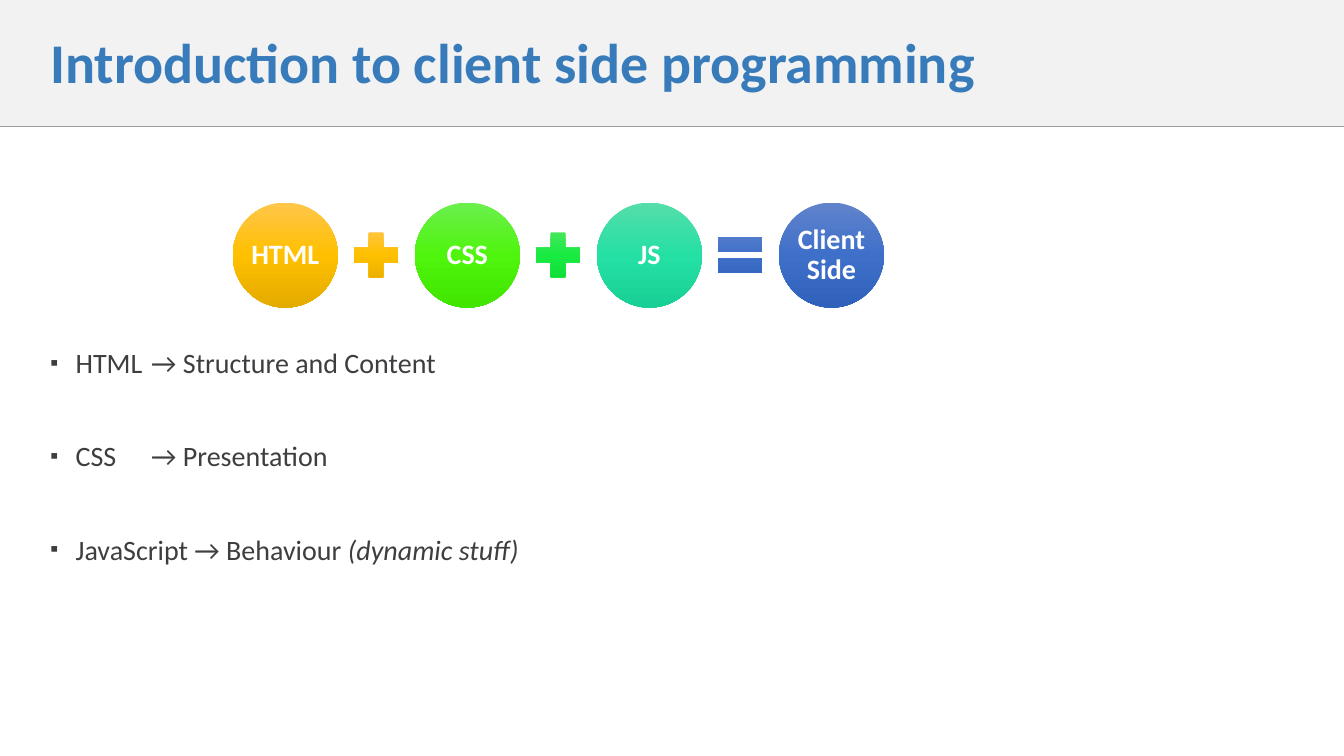
from copy import deepcopy

from lxml import etree
from pptx import Presentation
from pptx.dml.color import RGBColor
from pptx.enum.shapes import MSO_CONNECTOR, MSO_SHAPE
from pptx.enum.text import MSO_ANCHOR, MSO_AUTO_SIZE, PP_ALIGN
from pptx.oxml.ns import qn
from pptx.util import Pt

STRAIGHT = MSO_CONNECTOR.STRAIGHT
OVAL = MSO_SHAPE.OVAL
PLUS = MSO_SHAPE.MATH_PLUS
EQUAL = MSO_SHAPE.MATH_EQUAL
TOP = MSO_ANCHOR.TOP
MIDDLE = MSO_ANCHOR.MIDDLE
NO_FIT = MSO_AUTO_SIZE.NONE
LEFT = PP_ALIGN.LEFT
CENTER = PP_ALIGN.CENTER

FONT = "Calibri"
COLORS = {
    "title": "387BBA",
    "band": "F2F2F2",
    "rule": "9C9E9F",
    "body": "3E3D40",
    "label": "FFFFFF",
}
GRADIENTS = {
    "amber": ("FFC64B", "FFC000", "E3AB00"),
    "lime": ("6BEF4D", "4FF50D", "41E500"),
    "green": ("51E663", "19EA42", "0CDB34"),
    "teal": ("55DDAB", "25E0A4", "18D095"),
    "blue": ("6183CB", "3E70CA", "3062BB"),
}
EQUATION = [
    ("HTML", "amber", PLUS, "amber"),
    ("CSS", "lime", PLUS, "green"),
    ("JS", "teal", EQUAL, "blue"),
    ("Client Side", "blue", None, None),
]
BULLETS = [
    [("HTML \t→ Structure and Content", False)],
    [("CSS \t→ Presentation", False)],
    [("JavaScript → Behaviour ", False), ("(dynamic stuff)", True)],
]
SLIDE_WIDTH, SLIDE_HEIGHT, BAND_HEIGHT = 960, 540, 90
EQUATION_LEFT, EQUATION_CENTER, EQUATION_STEP = 166.3, 182.2, 130.05
CIRCLE_SIZE, SIGN_SIZE, SIGN_OFFSET = 75, 43.2, 80.7


class SlideBuilder:
    def __init__(self, presentation):
        self.slide = presentation.slides.add_slide(presentation.slide_layouts[1])

    def apply(self, target, values):
        for name, value in values.items():
            setattr(target, name, value)

    def place(self, shape, left, top, width, height):
        box = {"left": left, "top": top, "width": width, "height": height}
        self.apply(shape, {name: Pt(value) for name, value in box.items()})

    def frame(self, shape, anchor, left, top, right, bottom):
        self.apply(shape.text_frame, {
            "word_wrap": True, "auto_size": NO_FIT, "vertical_anchor": anchor,
            "margin_left": Pt(left), "margin_top": Pt(top),
            "margin_right": Pt(right), "margin_bottom": Pt(bottom),
        })
        return shape.text_frame

    def text(self, paragraph, text, color, **font):
        run = paragraph.add_run()
        run.text = text
        self.apply(run.font, {"name": FONT, **font})
        run.font.color.rgb = RGBColor.from_string(COLORS[color])

    def rule(self, top):
        line = self.slide.shapes.add_connector(
            STRAIGHT, Pt(0), Pt(top), Pt(SLIDE_WIDTH), Pt(top))
        line.line.width = Pt(0.25)
        line.line.color.rgb = RGBColor.from_string(COLORS["rule"])
        etree.SubElement(line.element.spPr, qn("a:effectLst"))

    def title(self, text):
        title = self.slide.shapes.title
        self.place(title, 0, 0, SLIDE_WIDTH, BAND_HEIGHT)
        title.fill.solid()
        title.fill.fore_color.rgb = RGBColor.from_string(COLORS["band"])
        paragraph = self.frame(title, TOP, 36, 25.2, 24, 3.6).paragraphs[0]
        self.apply(paragraph, {"alignment": LEFT, "line_spacing": 0.9, "space_before": Pt(0)})
        self.text(paragraph, text, "title", size=Pt(40), bold=True)

    def bullet(self, paragraph):
        properties = paragraph._p.get_or_add_pPr()
        indents = {"marL": Pt(18), "indent": Pt(-18), "defTabSz": Pt(72)}
        for name, value in indents.items():
            properties.set(name, str(int(value)))
        color = etree.SubElement(properties, qn("a:buClr"))
        etree.SubElement(color, qn("a:srgbClr"), val=COLORS["body"])
        etree.SubElement(properties, qn("a:buSzPct"), val="80000")
        etree.SubElement(properties, qn("a:buFont"), typeface=FONT)
        etree.SubElement(properties, qn("a:buChar"), char="▪")

    def bullets(self, items):
        body = self.slide.placeholders[1]
        self.place(body, 18, 246, 918, 258)
        frame = self.frame(body, TOP, 18, 3.6, 3.6, 3.6)
        for index, runs in enumerate(items):
            paragraph = frame.add_paragraph() if index else frame.paragraphs[0]
            self.apply(paragraph, {
                "alignment": LEFT, "line_spacing": 0.9,
                "space_before": Pt(45 if index else 0), "space_after": Pt(0),
            })
            self.bullet(paragraph)
            for text, italic in runs:
                self.text(paragraph, text, "body", size=Pt(20), italic=italic)

    def gradient_shape(self, kind, left, size, gradient):
        top = EQUATION_CENTER - size / 2
        shape = self.slide.shapes.add_shape(kind, Pt(left), Pt(top), Pt(size), Pt(size))
        shape.shadow.inherit = False
        shape.line.fill.background()
        shape.fill.gradient()
        shape.fill.gradient_angle = 270
        stop_list = next(shape.element.spPr.iter(qn("a:gsLst")))
        stop_list.append(deepcopy(stop_list[-1]))
        for index, stop in enumerate(shape.fill.gradient_stops):
            stop.position = index / 2
            stop.color.rgb = RGBColor.from_string(GRADIENTS[gradient][index])
        return shape

    def circle(self, left, text, gradient):
        shape = self.gradient_shape(OVAL, left, CIRCLE_SIZE, gradient)
        paragraph = self.frame(shape, MIDDLE, 1, 1, 1, 1).paragraphs[0]
        self.apply(paragraph, {"alignment": CENTER, "line_spacing": 0.9})
        self.text(paragraph, text, "label", size=Pt(20), bold=True)

    def equation(self, terms):
        for index, (text, gradient, sign, sign_gradient) in enumerate(terms):
            left = EQUATION_LEFT + index * EQUATION_STEP
            self.circle(left, text, gradient)
            if sign is not None:
                self.gradient_shape(sign, left + SIGN_OFFSET, SIGN_SIZE, sign_gradient)


def main():
    presentation = Presentation()
    presentation.slide_width = Pt(SLIDE_WIDTH)
    presentation.slide_height = Pt(SLIDE_HEIGHT)
    builder = SlideBuilder(presentation)
    builder.rule(BAND_HEIGHT)
    builder.title("Introduction to client side programming")
    builder.bullets(BULLETS)
    builder.equation(EQUATION)
    presentation.save("out.pptx")


if __name__ == "__main__":
    main()
